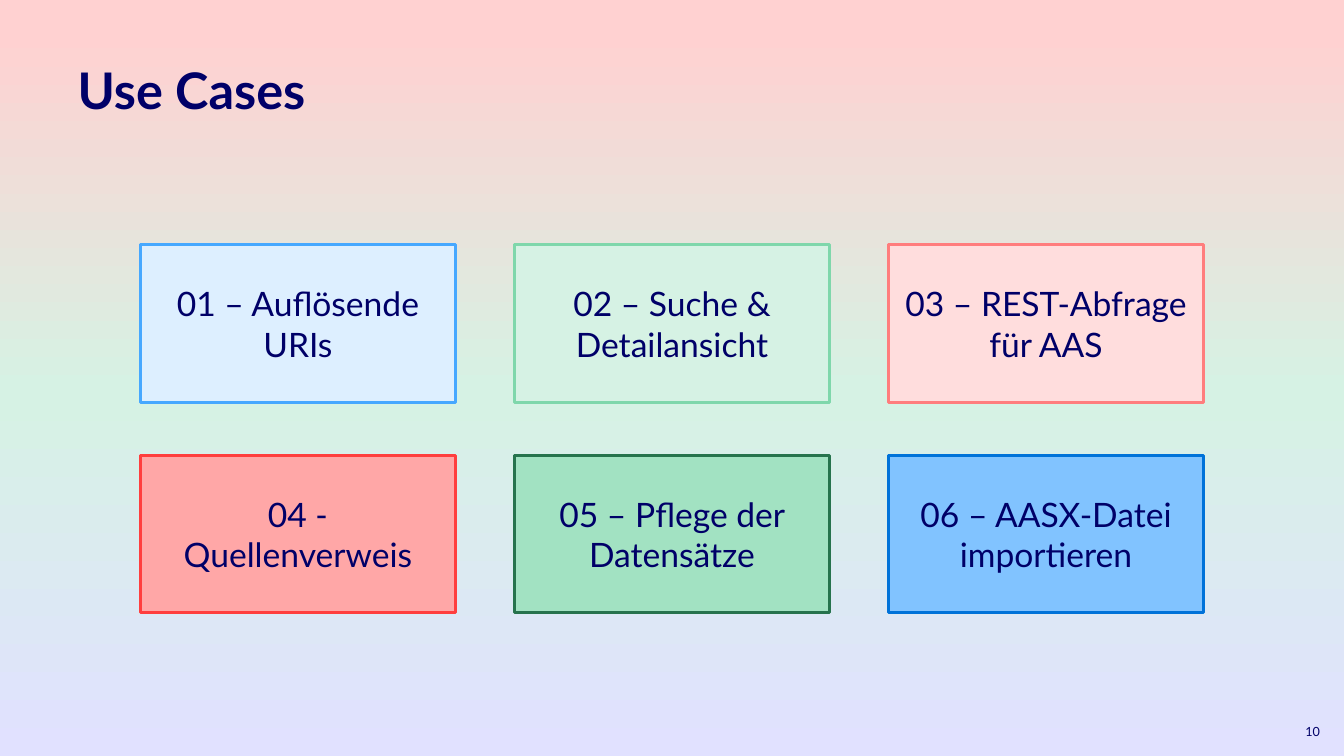
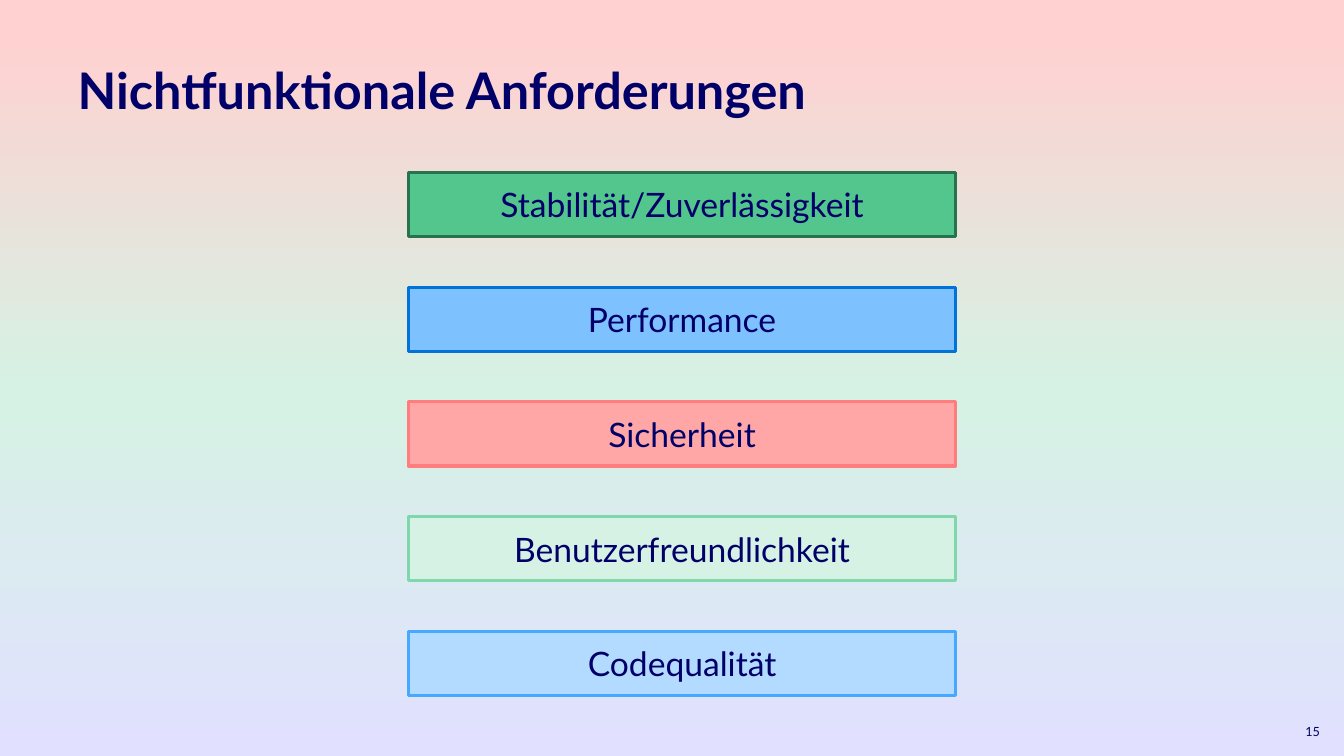
import copy

import pptx
import pptx.dml.color
import pptx.enum.shapes
import pptx.enum.text
import pptx.oxml.ns
import pptx.util

Inches = pptx.util.Inches
PP = pptx.enum.text.PP_ALIGN
ANCHOR = pptx.enum.text.MSO_ANCHOR
NAVY = "000068"
BACKGROUND = [(0.04, "FFD1D1"), (0.52, "D6F2E4"), (1, "E1E1FF")]
TITLE_BOX = (0.67, 0.6, 11.65, 1.24)
NUMBER_BOX = (12.72, 7.06, 0.47, 0.4)
TITLE_FONT = {"name": "Lato", "size": pptx.util.Pt(36), "bold": True}
CARD_FONT = {"name": "Lato", "size": pptx.util.Pt(24)}
NUMBER_FONT = {"name": "Lato", "size": pptx.util.Pt(9)}

USE_CASES = [
    ("01 – Auflösende URIs", "DDEFFF", "46A8FF"),
    ("02 – Suche & Detailansicht", "D6F2E4", "7FD7AB"),
    ("03 – REST-Abfrage für AAS", "FFDDDD", "FF7D7D"),
    ("04 - Quellenverweis", "FFA7A7", "FF3E3E"),
    ("05 – Pflege der Datensätze", "A2E2C2", "26734D"),
    ("06 – AASX-Datei importieren", "81C3FF", "0072D9"),
]
REQUIREMENTS = [
    ("Stabilität/Zuverlässigkeit", "52C68C", "26734D"),
    ("Performance", "7DC1FF", "0072D9"),
    ("Sicherheit", "FFA7A7", "FF7D7D"),
    ("Benutzerfreundlichkeit", "D6F2E4", "7FD7AB"),
    ("Codequalität", "B3DBFF", "46A8FF"),
]


def rgb(color):
    """Turn a hex string into a colour."""
    return pptx.dml.color.RGBColor.from_string(color)


def set_attrs(obj, values):
    """Set each named attribute of an object."""
    for name, value in values.items():
        setattr(obj, name, value)


def place(sp, box):
    """Move and size a shape to a box in inches."""
    set_attrs(sp, dict(zip(("left", "top", "width", "height"), map(Inches, box))))


def write(sp, text, font, align, anchor):
    """Write one formatted paragraph into a shape."""
    tf = sp.text_frame
    set_attrs(tf, {"word_wrap": True, "vertical_anchor": anchor,
                   "auto_size": pptx.enum.text.MSO_AUTO_SIZE.NONE})
    p = tf.paragraphs[0]
    p.alignment = align
    r = p.add_run()
    r.text = text
    set_attrs(r.font, font)
    r.font.color.rgb = rgb(NAVY)
    return p


def set_background(master):
    """Give the master a vertical gradient that every slide inherits."""
    fill = master.background.fill
    fill.gradient()
    fill.gradient_angle = 270
    stops = next(master.element.iter(pptx.oxml.ns.qn("a:gsLst")))
    stops.insert(1, copy.deepcopy(stops[0]))
    for stop, (position, color) in zip(fill.gradient_stops, BACKGROUND):
        stop.position = position
        stop.color.rgb = rgb(color)


def add_slide(prs, title, number):
    """Add a slide with its title and page number."""
    s = prs.slides.add_slide(prs.slide_layouts[5])
    place(s.shapes.title, TITLE_BOX)
    p = write(s.shapes.title, title, TITLE_FONT, PP.LEFT, ANCHOR.TOP)
    p.line_spacing = 0.9
    page = s.shapes.add_textbox(*map(Inches, NUMBER_BOX))
    write(page, number, NUMBER_FONT, PP.RIGHT, ANCHOR.MIDDLE)
    return s


def add_card(s, box, text, fill, line):
    """Draw one outlined rectangle with centred text."""
    sp = s.shapes.add_shape(pptx.enum.shapes.MSO_SHAPE.RECTANGLE, *map(Inches, box))
    sp.shadow.inherit = False
    sp.fill.solid()
    sp.fill.fore_color.rgb = rgb(fill)
    sp.line.color.rgb = rgb(line)
    sp.line.width = pptx.util.Pt(2.25)
    write(sp, text, CARD_FONT, PP.CENTER, ANCHOR.MIDDLE)


def add_card_grid(s, box, cards, cols, gap_x, gap_y):
    """Fill a box row by row with cards of equal size."""
    left, top, width, height = box
    rows = -(-len(cards) // cols)
    w = (width - gap_x * (cols - 1)) / cols
    h = (height - gap_y * (rows - 1)) / rows
    for i, card in enumerate(cards):
        row, col = divmod(i, cols)
        add_card(s, (left + col * (w + gap_x), top + row * (h + gap_y), w, h), *card)


def main():
    """Build and save the presentation."""
    prs = pptx.Presentation()
    prs.slide_width, prs.slide_height = Inches(13.33), Inches(7.5)
    set_background(prs.slide_master)
    s = add_slide(prs, "Use Cases", "10")
    add_card_grid(s, (1.39, 2.43, 10.55, 3.65), USE_CASES, 3, 0.58, 0.53)
    s = add_slide(prs, "Nichtfunktionale Anforderungen", "15")
    add_card_grid(s, (4.05, 1.71, 5.43, 5.19), REQUIREMENTS, 1, 0, 0.5)
    prs.save("out.pptx")


if __name__ == "__main__":
    main()
